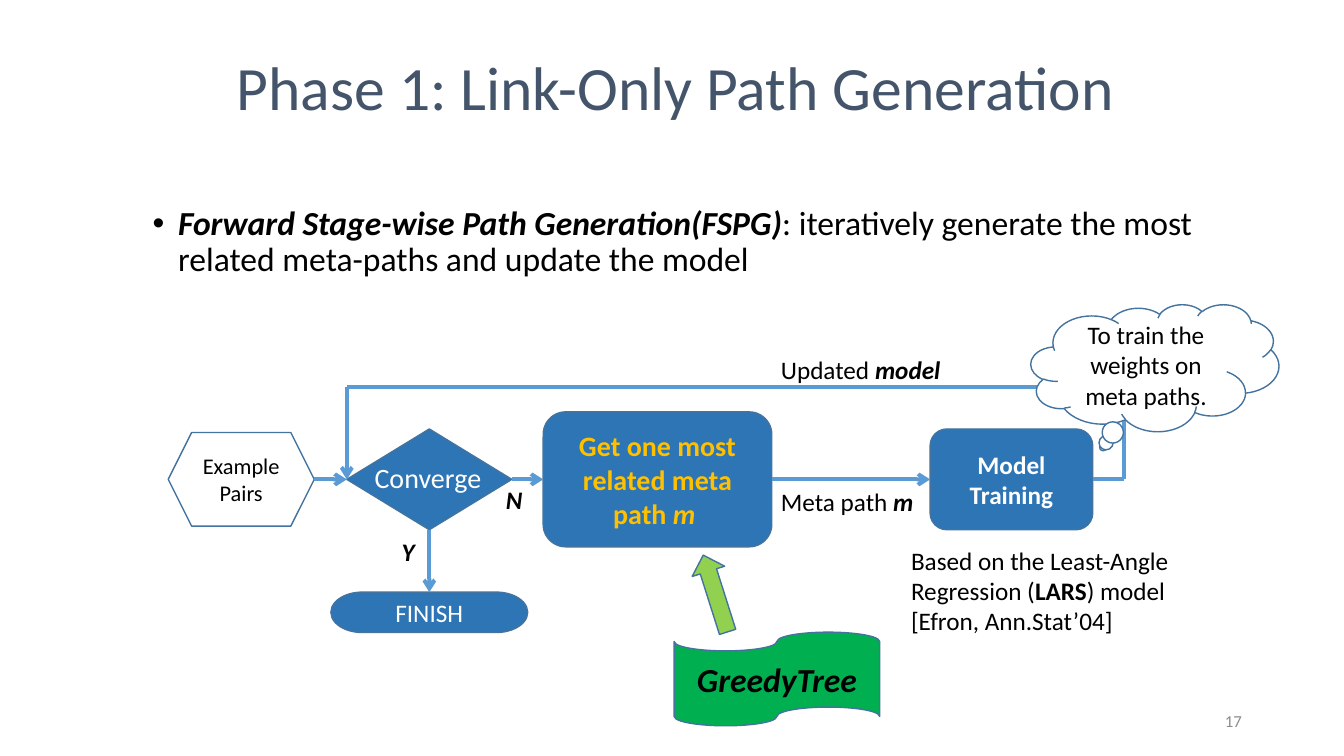
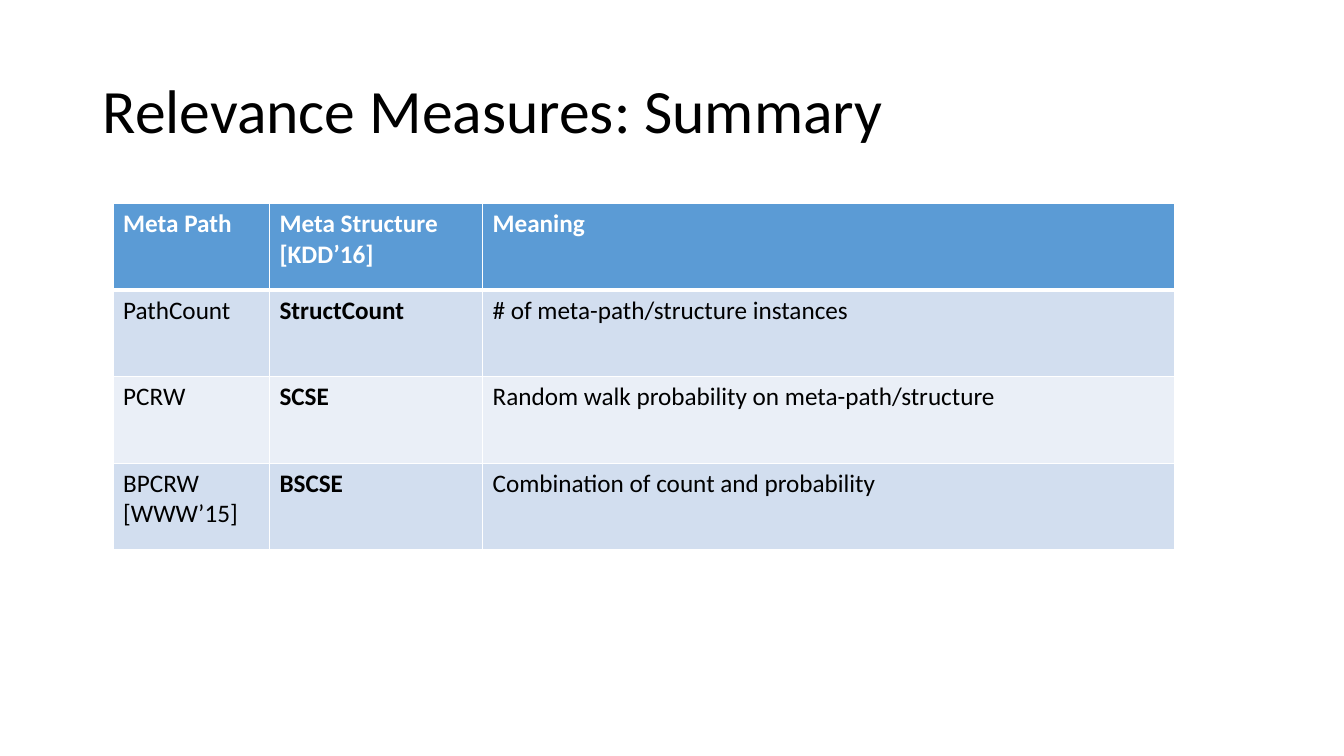
from lxml import etree
from pptx import Presentation
from pptx.dml.color import RGBColor
from pptx.enum.shapes import MSO_CONNECTOR, MSO_SHAPE
from pptx.enum.text import MSO_ANCHOR, PP_ALIGN
from pptx.oxml import parse_xml
from pptx.oxml.ns import nsdecls, qn
from pptx.util import Cm, Pt

LEFT, CENTER, RIGHT = PP_ALIGN.LEFT, PP_ALIGN.CENTER, PP_ALIGN.RIGHT
TOP_ANCHOR, MIDDLE_ANCHOR = MSO_ANCHOR.TOP, MSO_ANCHOR.MIDDLE
STRAIGHT = MSO_CONNECTOR.STRAIGHT
TOP, LEFT_SIDE, BOTTOM, RIGHT_SIDE = range(4)


class Theme:
    font = "Calibri"
    black = "000000"
    white = "FFFFFF"
    slate = "44546A"
    grey = "8C8C8C"
    blue = "2E75B6"
    outline = "43739E"
    light_blue = "5B9BD5"
    gold = "FFC000"
    green = "00B050"
    lime = "92D050"
    bands = ("D2DEEF", "EAEFF7")
    title_size = 44
    lead_size = 24
    step_size = 20
    text_size = 18
    small_size = 16
    number_size = 12


def write(frame, paragraphs, size=Theme.text_size, color=Theme.black,
          align=LEFT, anchor=TOP_ANCHOR, spacing=None, bullet=False):
    frame.word_wrap = True
    frame.vertical_anchor = anchor
    for index, runs in enumerate(paragraphs):
        para = frame.add_paragraph() if index else frame.paragraphs[0]
        if bullet:
            properties = para._p.get_or_add_pPr()
            properties.set("marL", str(Cm(1.9)))
            properties.set("indent", str(-Cm(0.64)))
            etree.SubElement(properties, qn("a:buFont")).set("typeface", "Arial")
            etree.SubElement(properties, qn("a:buChar")).set("char", "•")
        para.alignment = align
        if spacing:
            para.line_spacing = spacing
        for text, style in runs:
            span = para.add_run()
            span.text = text
            span.font.name = Theme.font
            span.font.size = Pt(size)
            span.font.color.rgb = RGBColor.from_string(color)
            span.font.bold = "b" in style
            span.font.italic = "i" in style


def connect(page, start, end, begin=None, finish=None, arrow=True):
    line = page.shapes.add_connector(STRAIGHT, *map(Cm, start + end))
    if begin:
        line.begin_connect(*begin)
    if finish:
        line.end_connect(*finish)
    line.line.color.rgb = RGBColor.from_string(Theme.light_blue)
    line.line.width = Pt(2.79)
    if arrow:
        line.line._get_or_add_ln().append(
            parse_xml(f'<a:tailEnd {nsdecls("a")} type="arrow"/>'))
    etree.SubElement(line._element.spPr, qn("a:effectLst"))


deck = Presentation()
deck.slide_width, deck.slide_height = Cm(33.87), Cm(19.05)
blank = deck.slide_layouts[6]
flow_page = deck.slides.add_slide(blank)
summary_page = deck.slides.add_slide(blank)

titles = [
    (flow_page, "Phase 1: Link-Only Path Generation", (5.72, 0.79, 22.66, 2.74), Theme.slate, None),
    (summary_page, "Relevance Measures: Summary", (2.34, 1.02, 29.21, 3.68), Theme.black, 0.9),
]
for page, title, box, color, spacing in titles:
    write(page.shapes.add_textbox(*map(Cm, box)).text_frame, [[(title, "")]],
          Theme.title_size, color, anchor=MIDDLE_ANCHOR, spacing=spacing)

lead = flow_page.shapes.add_textbox(Cm(2.34), Cm(5.08), Cm(29.21), Cm(2.4))
write(lead.text_frame,
      [[("Forward Stage-wise Path Generation(FSPG)", "bi"),
        (": iteratively generate the most related meta-paths and update the model", "")]],
      Theme.lead_size, spacing=0.9, bullet=True)

number = flow_page.shapes.add_textbox(Cm(23.93), Cm(17.65), Cm(7.62), Cm(1.02))
write(number.text_frame, [[("17", "")]], Theme.number_size, Theme.grey, RIGHT, MIDDLE_ANCHOR)

middle = 12.08
feedback_x, feedback_y = 28.32, 9.75
nodes = {
    "pairs": (MSO_SHAPE.HEXAGON, (4.24, middle - 1.18, 3.68, 2.36), Theme.white,
              [("Example Pairs", "")], Theme.small_size, Theme.black),
    "converge": (MSO_SHAPE.FLOWCHART_DECISION, (8.74, middle - 1.27, 4.16, 2.54), Theme.blue,
                 [], Theme.step_size, Theme.white),
    "path_step": (MSO_SHAPE.ROUNDED_RECTANGLE, (13.69, middle - 1.7, 5.76, 3.4), Theme.blue,
                  [("Get one most related meta path ", "b"), ("m ", "bi")],
                  Theme.step_size, Theme.gold),
    "training": (MSO_SHAPE.ROUNDED_RECTANGLE, (23.44, middle - 1.27, 4.1, 2.54), Theme.blue,
                 [("Model Training", "b")], Theme.text_size, Theme.white),
    "finish": (MSO_SHAPE.FLOWCHART_TERMINATOR, (8.34, 14.92, 4.96, 1.02), Theme.blue,
               [("FINISH", "")], Theme.text_size, Theme.white),
    "tree": (MSO_SHAPE.WAVE, (16.99, 15.93, 5.18, 2.36), Theme.green,
             [("GreedyTree", "bi")], Theme.lead_size, Theme.black),
    "tree_arrow": (MSO_SHAPE.UP_ARROW, (17.6, 13.94, 0.86, 2.03), Theme.lime,
                   [], Theme.text_size, Theme.black),
    "thought": (MSO_SHAPE.CLOUD_CALLOUT, (25.98, 7.67, 6.25, 3.2), Theme.white,
                [("To train the weights on meta paths.", "")], Theme.text_size, Theme.black),
}
nodes["tree"] = (MSO_SHAPE.FLOWCHART_PUNCHED_TAPE,) + nodes["tree"][1:]

shapes = {}
for name, (kind, box, fill, runs, size, color) in nodes.items():
    if name == "thought":
        diamond, step, training = shapes["converge"], shapes["path_step"], shapes["training"]
        connect(flow_page, (7.92, middle), (8.74, middle), finish=(diamond, LEFT_SIDE))
        connect(flow_page, (12.9, middle), (13.69, middle),
                (diamond, RIGHT_SIDE), (step, LEFT_SIDE))
        connect(flow_page, (19.45, middle), (23.44, middle),
                (step, RIGHT_SIDE), (training, LEFT_SIDE))
        connect(flow_page, (10.82, 13.35), (10.82, 14.92),
                (diamond, BOTTOM), (shapes["finish"], TOP))
        connect(flow_page, (27.54, middle), (feedback_x, middle),
                begin=(training, RIGHT_SIDE), arrow=False)
        connect(flow_page, (feedback_x, middle), (feedback_x, feedback_y), arrow=False)
        connect(flow_page, (feedback_x, feedback_y), (8.74, feedback_y), arrow=False)
        connect(flow_page, (8.74, feedback_y), (8.74, middle), finish=(diamond, LEFT_SIDE))
    shape = flow_page.shapes.add_shape(kind, *map(Cm, box))
    shape.shadow.inherit = False
    shape.fill.solid()
    shape.fill.fore_color.rgb = RGBColor.from_string(fill)
    shape.line.color.rgb = RGBColor.from_string(Theme.outline)
    shape.line.width = Pt(1)
    if runs:
        write(shape.text_frame, [runs], size, color, CENTER, MIDDLE_ANCHOR)
    shapes[name] = shape
shapes["tree_arrow"].rotation = 342.4

labels = [
    ((9.19, 11.48, 3.4, 1.12), [[("Converge", "")]], Theme.step_size, Theme.white),
    ((19.43, 12.14, 4.1, 1.02), [[("Meta path ", ""), ("m", "bi")]], Theme.text_size, Theme.black),
    ((19.43, 8.81, 5.21, 1.02), [[("Updated ", ""), ("model", "bi")]], Theme.text_size, Theme.black),
    ((9.87, 13.39, 0.9, 1.02), [[("Y", "bi")]], Theme.text_size, Theme.black),
    ((12.5, 12.07, 0.95, 1.02), [[("N", "bi")]], Theme.text_size, Theme.black),
    ((22.71, 13.61, 9.14, 2.57),
     [[("Based on the Least-Angle Regression (", ""), ("LARS", "b"), (") model", "")],
      [("[Efron, Ann.Stat’04]", "")]], Theme.text_size, Theme.black),
]
for box, paragraphs, size, color in labels:
    write(flow_page.shapes.add_textbox(*map(Cm, box)).text_frame, paragraphs, size, color)

measures = [
    ("Meta Path", "Meta Structure [KDD’16]", "Meaning"),
    ("PathCount", "StructCount", "# of meta-path/structure instances"),
    ("PCRW", "SCSE", "Random walk probability on meta-path/structure"),
    ("BPCRW [WWW’15]", "BSCSE", "Combination of count and probability"),
]
widths = (3.94, 5.37, 17.43)
row_height = 2.18
table = summary_page.shapes.add_table(
    len(measures), len(widths), Cm(2.85), Cm(5.13),
    Cm(sum(widths)), Cm(row_height * len(measures))).table
for column, width in zip(table.columns, widths):
    column.width = Cm(width)
for row, values in enumerate(measures):
    table.rows[row].height = Cm(row_height)
    for column, text in enumerate(values):
        cell = table.cell(row, column)
        header = row == 0
        edges = {"lnL": 1, "lnR": 1, "lnT": 3 if row == 1 else 1, "lnB": 3 if header else 1}
        for edge, weight in edges.items():
            cell._tc.get_or_add_tcPr().append(parse_xml(
                f'<a:{edge} {nsdecls("a")} w="{Pt(weight)}"><a:solidFill>'
                f'<a:srgbClr val="{Theme.white}"/></a:solidFill></a:{edge}>'))
        cell.fill.solid()
        fill = Theme.light_blue if header else Theme.bands[(row - 1) % 2]
        cell.fill.fore_color.rgb = RGBColor.from_string(fill)
        write(cell.text_frame, [[(text, "b" if header or column == 1 else "")]],
              color=Theme.white if header else Theme.black)

deck.save("out.pptx")
